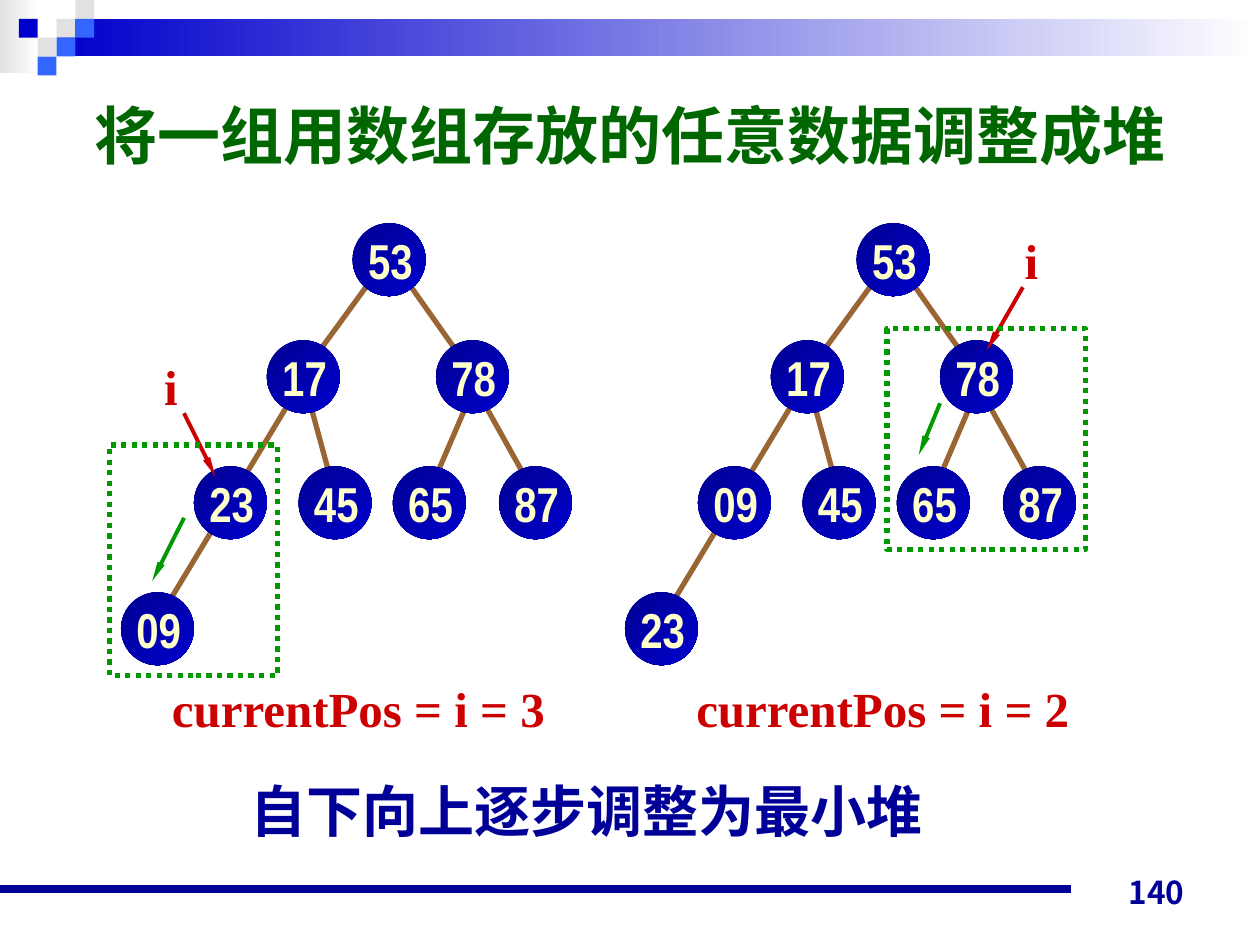
from dataclasses import dataclass

from lxml import etree
from pptx import Presentation
from pptx.dml.color import RGBColor
from pptx.enum import dml, shapes, text
from pptx.oxml.ns import qn
from pptx.util import Cm, Pt

COLORS = {
    "navy": "000099", "blue": "0000CC", "deep": "000092", "sky": "3366FF",
    "gray": "E1E1E1", "white": "FFFFFF", "brown": "996633", "red": "CC0000",
    "green": "009900", "forest": "006600", "cream": "FFFFCC",
}
TREE_STEP = 10.16
NODE_SIZE = 1.47
CELL = 0.38
CJK = "Noto Sans CJK JP"
SERIF = "Times New Roman"


@dataclass(frozen=True)
class Box:
    left: float
    top: float
    width: float
    height: float

    def lengths(self) -> tuple:
        return Cm(self.left), Cm(self.top), Cm(self.width), Cm(self.height)


@dataclass(frozen=True)
class Line:
    x1: float
    y1: float
    x2: float
    y2: float


@dataclass(frozen=True)
class Style:
    font: str
    size: float
    color: str


@dataclass(frozen=True)
class Step:
    """One state of the heap: node values in level order, and its marks."""
    values: tuple
    caption: str
    caption_left: float
    index_box: Box
    index_arrow: Line
    focus: Box
    move: Line


NODE_SPOTS = [(7.11, 4.5), (5.38, 6.86), (8.79, 6.86), (3.91, 9.4),
              (6.02, 9.4), (7.92, 9.4), (10.06, 9.4), (2.44, 11.94)]
EDGES = [
    Line(7.52, 5.59, 6.45, 7.06), Line(8.15, 5.59, 9.19, 7.06),
    Line(5.82, 8.13, 3.28, 12.34), Line(6.25, 8.13, 6.65, 9.6),
    Line(9.42, 8.13, 8.79, 9.6), Line(9.63, 7.9, 10.69, 9.8),
]
STEPS = [
    Step(("53", "17", "78", "23", "45", "65", "87", "09"),
         "currentPos = i = 3", 3.2, Box(3.05, 7.06, 0.79, 1.45),
         Line(3.71, 8.33, 4.34, 9.6), Box(2.21, 8.97, 3.38, 4.65),
         Line(3.71, 10.44, 3.07, 11.71)),
    Step(("53", "17", "78", "09", "45", "65", "87", "23"),
         "currentPos = i = 2", 13.77, Box(20.4, 4.52, 0.79, 1.45),
         Line(20.62, 5.79, 19.89, 7.06), Box(17.88, 6.63, 4.01, 4.45),
         Line(18.95, 8.13, 18.52, 9.17)),
]
# Column, row and colour of each square in the corner pattern
SQUARES = [(3, 1, "gray"), (4, 0, "gray"), (4, 1, "sky"), (2, 2, "gray"),
           (1, 1, "blue"), (3, 2, "sky"), (2, 3, "sky")]


def rgb(name: str) -> RGBColor:
    return RGBColor.from_string(COLORS[name])


def write(frame, words: str, style: Style, align=text.PP_ALIGN.LEFT) -> None:
    paragraph = frame.paragraphs[0]
    paragraph.alignment = align
    run = paragraph.add_run()
    run.text = words
    run.font.name = style.font
    run.font.size = Pt(style.size)
    run.font.bold = True
    run.font.color.rgb = rgb(style.color)
    etree.SubElement(run.font._element, qn("a:ea"), typeface=CJK)


def add_label(slide, box: Box, words: str, style: Style,
              align=text.PP_ALIGN.CENTER, anchor=text.MSO_ANCHOR.MIDDLE,
              wrap: bool = False) -> None:
    frame = slide.shapes.add_textbox(*box.lengths()).text_frame
    frame.word_wrap = wrap
    frame.vertical_anchor = anchor
    write(frame, words, style, align)


def add_filled(slide, kind, box: Box, *colors: str, angle: float = 0):
    """Add a borderless shape; two colours make a gradient."""
    shape = slide.shapes.add_shape(kind, *box.lengths())
    shape.shadow.inherit = False
    shape.line.fill.background()
    if len(colors) == 1:
        shape.fill.solid()
        shape.fill.fore_color.rgb = rgb(colors[0])
    else:
        shape.fill.gradient()
        shape.fill.gradient_angle = angle
        for stop, color in zip(shape.fill.gradient_stops, colors):
            stop.color.rgb = rgb(color)
    return shape


def add_line(slide, line: Line, color: str, width: float,
             arrow: bool = False) -> None:
    ends = [Cm(v) for v in (line.x1, line.y1, line.x2, line.y2)]
    connector = slide.shapes.add_connector(shapes.MSO_CONNECTOR.STRAIGHT, *ends)
    connector.line.color.rgb = rgb(color)
    connector.line.width = Pt(width)
    properties = connector._element.spPr
    if arrow:
        etree.SubElement(properties.find(qn("a:ln")), qn("a:tailEnd"),
                         type="triangle", w="sm", len="lg")
    etree.SubElement(properties, qn("a:effectLst"))


def add_node(slide, left: float, top: float, value: str) -> None:
    node = add_filled(slide, shapes.MSO_SHAPE.OVAL,
                      Box(left, top, NODE_SIZE, NODE_SIZE),
                      "deep", "blue", angle=315)
    frame = node.text_frame
    frame.word_wrap = False
    frame.vertical_anchor = text.MSO_ANCHOR.MIDDLE
    frame.margin_left = Cm(0.05)
    frame.margin_right = frame.margin_top = frame.margin_bottom = 0
    write(frame, value, Style("Arial Narrow", 28, "cream"),
          text.PP_ALIGN.CENTER)


def add_focus(slide, box: Box) -> None:
    focus = slide.shapes.add_shape(shapes.MSO_SHAPE.RECTANGLE, *box.lengths())
    focus.shadow.inherit = False
    focus.fill.background()
    focus.line.color.rgb = rgb("green")
    focus.line.width = Pt(3)
    focus.line.dash_style = dml.MSO_LINE.ROUND_DOT


def draw_banner(slide) -> None:
    rectangle = shapes.MSO_SHAPE.RECTANGLE
    add_filled(slide, rectangle, Box(0, 0, 0.79, 1.47), "gray", "white")
    add_filled(slide, rectangle, Box(1.14, CELL, 24.26, 0.76), "blue", "white")
    for column, row, color in SQUARES:
        add_filled(slide, rectangle,
                   Box(column * CELL, row * CELL, CELL, CELL), color)


def draw_step(slide, step: Step, shift: float) -> None:
    for edge in EDGES:
        add_line(slide, Line(edge.x1 + shift, edge.y1, edge.x2 + shift, edge.y2),
                 "brown", 3)
    for (left, top), value in zip(NODE_SPOTS, step.values):
        add_node(slide, left + shift, top, value)
    note = Style(SERIF, 28, "red")
    add_label(slide, step.index_box, "i", note)
    add_label(slide, Box(step.caption_left, 13.54, 8.05, 1.45),
              step.caption, note)
    add_line(slide, step.index_arrow, "red", 2.25, arrow=True)
    add_focus(slide, step.focus)
    add_line(slide, step.move, "green", 2.25, arrow=True)


def main() -> None:
    deck = Presentation()
    deck.slide_width, deck.slide_height = Cm(25.4), Cm(19.05)
    slide = deck.slides.add_slide(deck.slide_layouts[5])

    draw_banner(slide)
    add_line(slide, Line(0, 17.93, 21.59, 17.93), "navy", 4.5)

    title = slide.shapes.title
    title.left, title.top, title.width, title.height = Box(
        1.65, 1.32, 22.86, 2.79).lengths()
    title.text_frame.auto_size = text.MSO_AUTO_SIZE.NONE
    title.text_frame.vertical_anchor = text.MSO_ANCHOR.MIDDLE
    write(title.text_frame, "将一组用数组存放的任意数据调整成堆",
          Style("Arial", 36, "forest"))

    for order, step in enumerate(STEPS):
        draw_step(slide, step, order * TREE_STEP)

    add_label(slide, Box(4.8, 15.52, 17.25, 1.6), "自下向上逐步调整为最小堆",
              Style(SERIF, 32, "navy"), text.PP_ALIGN.LEFT,
              text.MSO_ANCHOR.TOP, wrap=True)
    add_label(slide, Box(18.21, 17.22, 5.92, 1.27), "140",
              Style(CJK, 18, "navy"), text.PP_ALIGN.RIGHT,
              text.MSO_ANCHOR.BOTTOM, wrap=True)
    deck.save("out.pptx")


if __name__ == "__main__":
    main()
